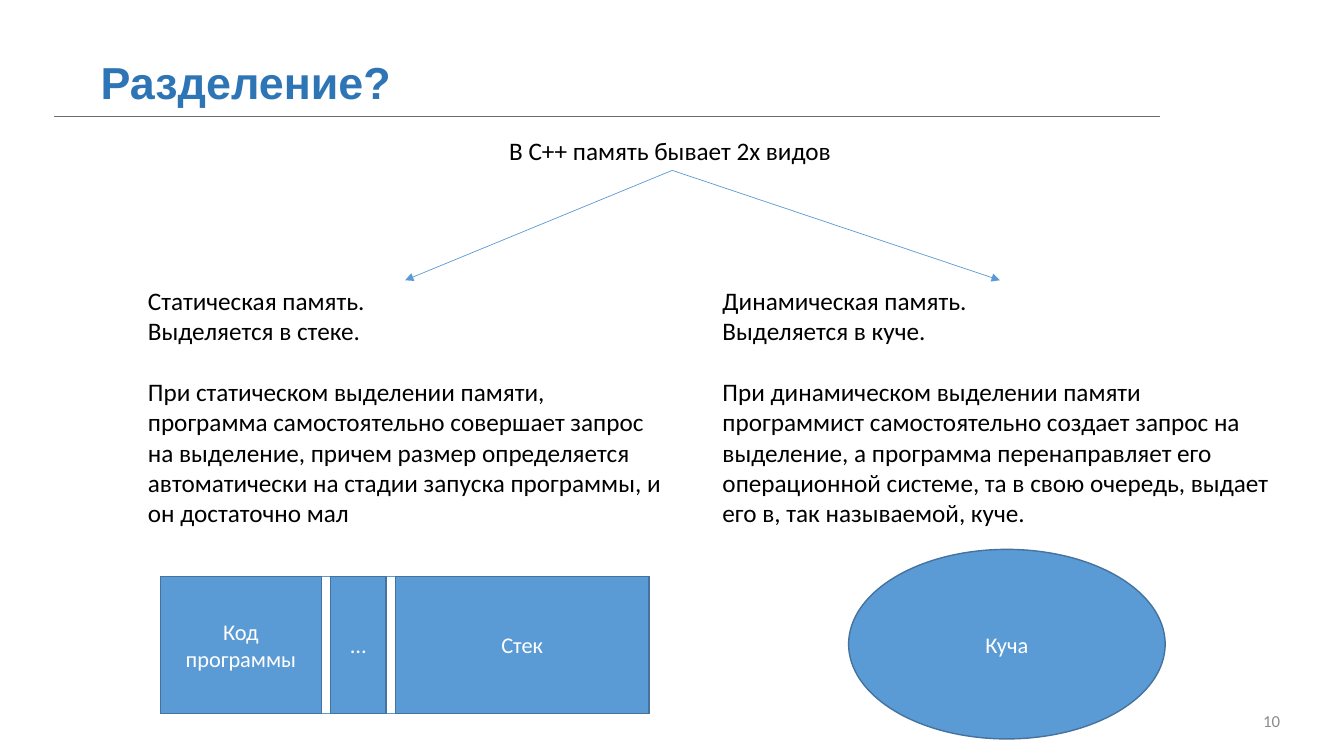
from lxml.etree import SubElement
from pptx import Presentation
from pptx.dml.color import RGBColor
from pptx.enum.shapes import MSO_CONNECTOR, MSO_SHAPE as Shape
from pptx.enum.text import MSO_ANCHOR as Anchor, MSO_AUTO_SIZE as AutoSize, PP_ALIGN as Align
from pptx.oxml.ns import qn
from pptx.util import Pt

BLACK = RGBColor(0x00, 0x00, 0x00)
WHITE = RGBColor(0xFF, 0xFF, 0xFF)
HEADING_BLUE = RGBColor(0x2E, 0x75, 0xB6)
BLUE = RGBColor(0x5B, 0x9B, 0xD5)
DARK_BLUE = RGBColor(0x43, 0x73, 0x9E)
RULE_GREY = RGBColor(0x6B, 0x6B, 0x6B)
NUMBER_GREY = RGBColor(0x8C, 0x8C, 0x8C)

HEADING = "Разделение?"
PAGE_NUMBER = "10"
STATEMENT = "В С++ память бывает 2х видов"
KINDS = [
    {
        "left": 98.6, "width": 381.6, "arrow_x": 289.4,
        "summary": ["Статическая память.", "Выделяется в стеке."],
        "details": "При статическом выделении памяти, программа самостоятельно совершает "
                   "запрос на выделение, причем размер определяется автоматически на стадии "
                   "запуска программы, и он достаточно мал",
    },
    {
        "left": 509, "width": 411.1, "arrow_x": 714.2,
        "summary": ["Динамическая память.", "Выделяется в куче."],
        "details": "При динамическом выделении памяти программист самостоятельно создает "
                   "запрос на выделение, а программа перенаправляет его операционной системе, "
                   "та в свою очередь, выдает его в, так называемой, куче.",
    },
]
SEGMENTS = [("Код программы", 115.2), ("…", 39.6), ("Стек", 181.4)]
HEAP = "Куча"

ARROW_TOP, ARROW_BOTTOM = 121.7, 200.2
ARROW_START = 480.2
MEMORY = (114.5, 411.8, 349.2, 97.9)
HEAP_BOX = (606.2, 392.4, 226.1, 135.4)

deck = Presentation()
deck.slide_width, deck.slide_height = Pt(960), Pt(540)
slide = deck.slides.add_slide(deck.slide_layouts[6])


def write(paragraph, lines, size, color, font="Calibri", bold=False):
    for index, line in enumerate(lines):
        if index:
            paragraph.add_line_break()
        run = paragraph.add_run()
        run.text = line
        run.font.size = Pt(size)
        run.font.name = font
        run.font.bold = bold
        run.font.color.rgb = color


def add_text(box, anchor=Anchor.TOP, wrap=True, grow=False):
    frame = slide.shapes.add_textbox(*map(Pt, box)).text_frame
    frame.word_wrap = wrap
    frame.auto_size = AutoSize.SHAPE_TO_FIT_TEXT if grow else AutoSize.NONE
    frame.vertical_anchor = anchor
    return frame


def add_line(start, end, color, arrow=False):
    line = slide.shapes.add_connector(MSO_CONNECTOR.STRAIGHT, *map(Pt, start + end))
    line.line.color.rgb = color
    line.line.width = Pt(0.5)
    if arrow:
        SubElement(line.line._get_or_add_ln(), qn("a:tailEnd"), type="triangle")
    SubElement(line._element.spPr, qn("a:effectLst"))


def add_block(shapes, preset, box, fill, outline, label=None):
    block = shapes.add_shape(preset, *map(Pt, box))
    block.shadow.inherit = False
    block.fill.solid()
    block.fill.fore_color.rgb = fill
    block.line.color.rgb = outline
    block.line.width = Pt(1)
    if label:
        frame = block.text_frame
        frame.word_wrap = True
        frame.vertical_anchor = Anchor.MIDDLE
        frame.paragraphs[0].alignment = Align.CENTER
        write(frame.paragraphs[0], [label], 16, WHITE)


heading = add_text((64.8, 38.2, 608.4, 39.6), Anchor.MIDDLE)
write(heading.paragraphs[0], [HEADING], 32, HEADING_BLUE, "Arial", True)
add_line((38.9, 82.8), (828.7, 82.8), RULE_GREY)

number = add_text((828, 500.4, 93.6, 28.8), Anchor.MIDDLE).paragraphs[0]
number.alignment = Align.RIGHT
write(number, [PAGE_NUMBER], 12, NUMBER_GREY)

statement = add_text((356.6, 92.9, 246.2, 28.8), wrap=False, grow=True)
write(statement.paragraphs[0], [STATEMENT], 18, BLACK)

for kind in KINDS:
    column = add_text((kind["left"], ARROW_BOTTOM, kind["width"], 181.4), grow=True)
    write(column.paragraphs[0], kind["summary"], 18, BLACK)
    details = column.add_paragraph()
    details.space_before = Pt(22)
    write(details, [kind["details"]], 18, BLACK)
    add_line((ARROW_START, ARROW_TOP), (kind["arrow_x"], ARROW_BOTTOM), BLUE, arrow=True)

left, top, width, height = MEMORY
gap = (width - sum(size for _, size in SEGMENTS)) / (len(SEGMENTS) - 1)
memory = slide.shapes.add_group_shape().shapes
add_block(memory, Shape.RECTANGLE, MEMORY, WHITE, BLUE)
for label, size in SEGMENTS:
    add_block(memory, Shape.FLOWCHART_PROCESS, (left, top, size, height), BLUE, DARK_BLUE, label)
    left += size + gap

add_block(slide.shapes, Shape.OVAL, HEAP_BOX, BLUE, DARK_BLUE, HEAP)

deck.save("out.pptx")
